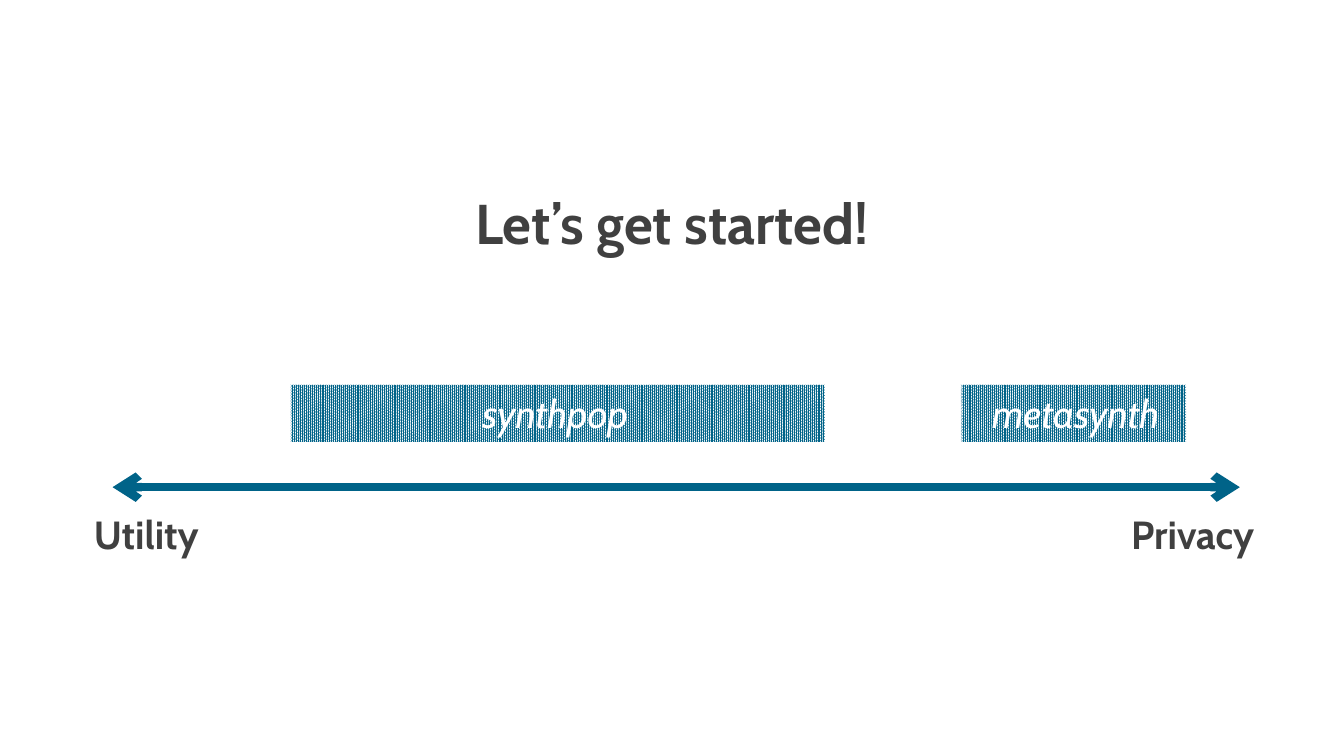
from dataclasses import dataclass

from lxml import etree
from pptx import Presentation
from pptx.dml.color import RGBColor
from pptx.enum.dml import MSO_PATTERN
from pptx.enum.shapes import MSO_CONNECTOR, MSO_SHAPE
from pptx.enum.text import MSO_ANCHOR, PP_ALIGN
from pptx.oxml.ns import qn
from pptx.util import Inches, Pt

RECT = MSO_SHAPE.RECTANGLE
STRAIGHT = MSO_CONNECTOR.STRAIGHT
DOTS = MSO_PATTERN.PERCENT_90
LEFT, MID, RIGHT = PP_ALIGN.LEFT, PP_ALIGN.CENTER, PP_ALIGN.RIGHT
TOP, MIDDLE = MSO_ANCHOR.TOP, MSO_ANCHOR.MIDDLE
COLS, ROWS = 16, 9


@dataclass(frozen=True)
class Theme:
    font: str = "Cabin"
    teal: RGBColor = RGBColor(0x00, 0x63, 0x88)
    dark: RGBColor = RGBColor(0x40, 0x40, 0x40)
    white: RGBColor = RGBColor(0xFF, 0xFF, 0xFF)
    title: int = 40
    label: int = 28
    axis: int = 6


class Deck:
    """Places elements on a grid of 16 columns and 9 rows."""

    def __init__(self, theme):
        self.theme = theme
        self.prs = Presentation()
        self.prs.slide_width = Inches(13.33)
        self.prs.slide_height = Inches(7.5)
        self.slide = self.prs.slides.add_slide(self.prs.slide_layouts[6])

    def grid(self, col, row):
        return (round(self.prs.slide_width * col / COLS),
                round(self.prs.slide_height * row / ROWS))

    def text(self, words, col, row, wide, high, size, color,
             align=MID, anchor=TOP, bold=False, italic=False):
        box = self.slide.shapes.add_textbox(*self.grid(col, row), *self.grid(wide, high))
        frame = box.text_frame
        frame.word_wrap = True
        frame.vertical_anchor = anchor
        frame.text = words
        para = frame.paragraphs[0]
        para.alignment = align
        font = para.runs[0].font
        font.name, font.size = self.theme.font, Pt(size)
        font.bold, font.italic = bold, italic
        font.color.rgb = color

    def bar(self, col, row, wide, high):
        bar = self.slide.shapes.add_shape(RECT, *self.grid(col, row), *self.grid(wide, high))
        bar.shadow.inherit = False
        bar.line.fill.background()
        bar.fill.patterned()
        bar.fill.pattern = DOTS
        bar.fill.fore_color.rgb = self.theme.teal
        bar.fill.back_color.rgb = self.theme.white

    def arrow(self, start, end, row):
        line = self.slide.shapes.add_connector(
            STRAIGHT, *self.grid(start, row), *self.grid(end, row))
        line.line.color.rgb = self.theme.teal
        line.line.width = Pt(self.theme.axis)
        props = line.line._get_or_add_ln()
        for tip in ("a:headEnd", "a:tailEnd"):
            etree.SubElement(props, qn(tip)).set("type", "arrow")
        etree.SubElement(line._element.spPr, qn("a:effectLst"))


def main():
    theme = Theme()
    deck = Deck(theme)

    # Title
    deck.text("Let’s get started!", 1.1, 0.79, 13.8, 3.71, theme.title, theme.dark,
              anchor=MIDDLE, bold=True)

    # Axis from utility to privacy
    deck.arrow(1.34, 14.76, 5.8)
    for words, col, align in (("Utility", 1, LEFT), ("Privacy", 12.59, RIGHT)):
        deck.text(words, col, 6.02, 2.46, 0.68, theme.label, theme.dark, align, bold=True)

    # Tools: bar column and width, name column and width
    tools = (("synthpop", 3.46, 6.36, 3.4, 6.42),
             ("metasynth", 11.44, 2.68, 11.49, 2.63))
    for name, col, wide, left, span in tools:
        deck.bar(col, 4.58, wide, 0.68)
        deck.text(name, left, 4.57, span, 0.68, theme.label, theme.white, italic=True)

    deck.prs.save("out.pptx")


if __name__ == "__main__":
    main()
